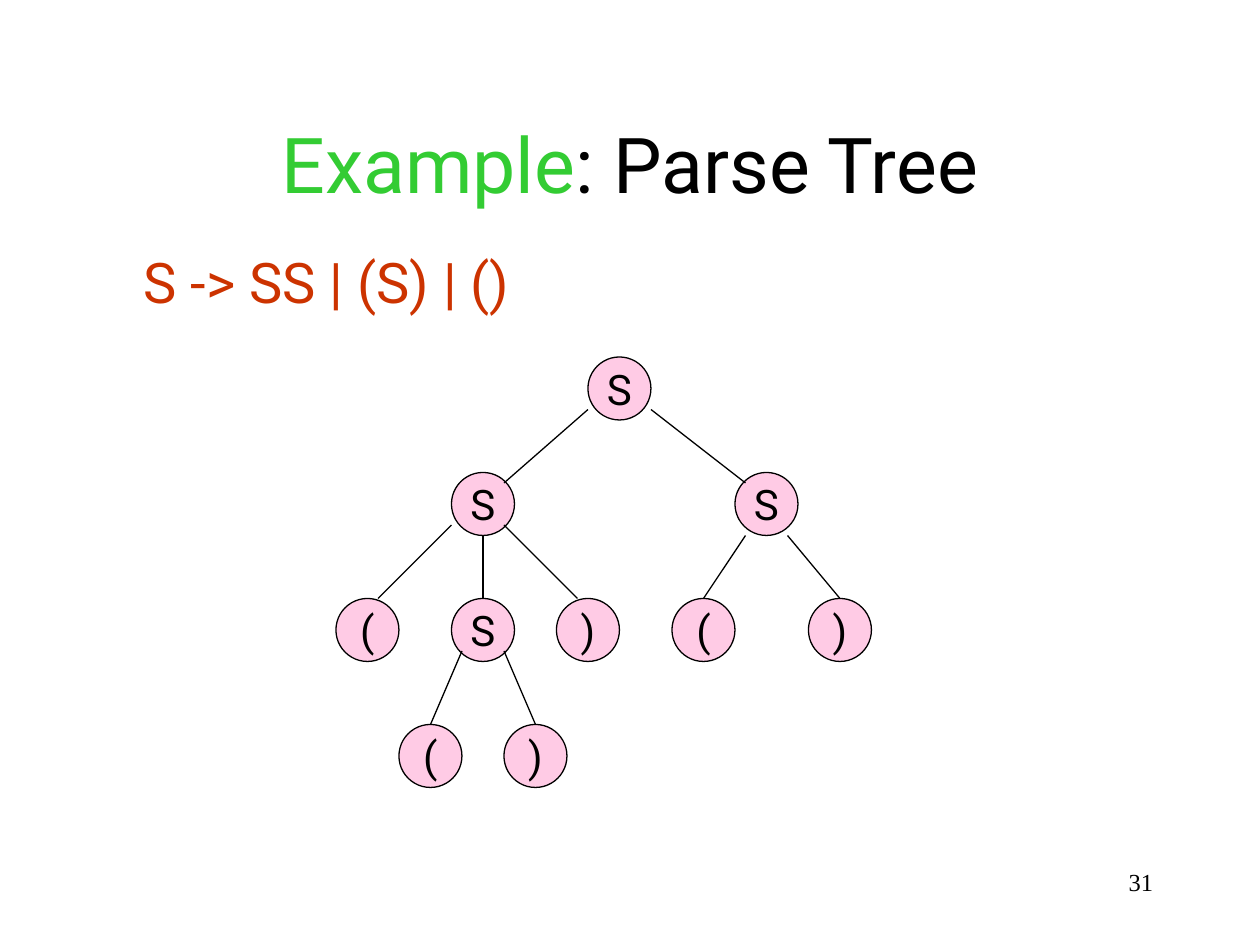
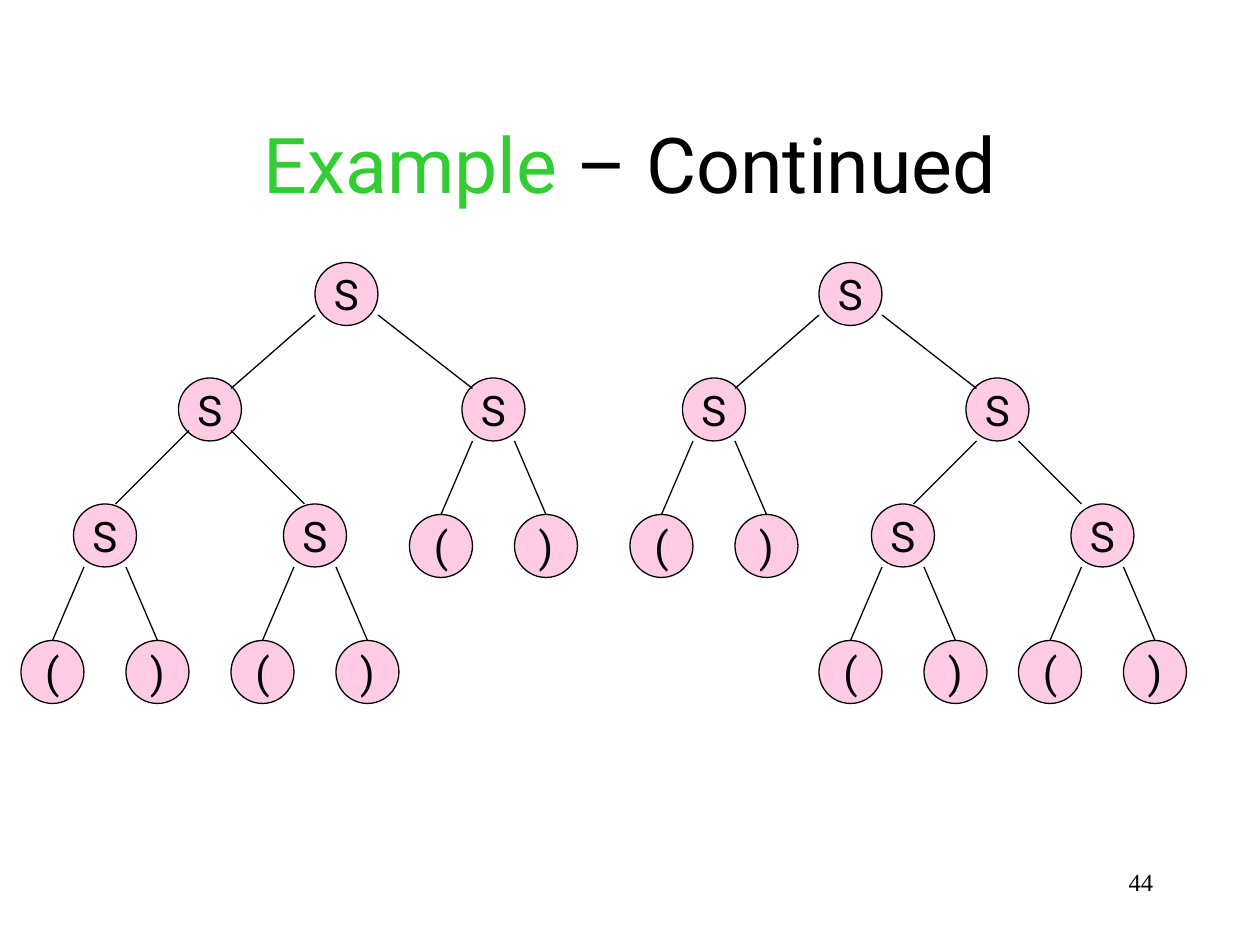
from lxml import etree
from pptx import Presentation, util as u
from pptx.dml.color import RGBColor
from pptx.enum import shapes, text
from pptx.oxml.ns import qn

# Content: a tree node is (label, (dx, dy) from its parent, link style, children)
def bracket_pair(drop=104):
    return [("(", (-40, drop), "low left", []), (")", (40, drop), "low right", [])]


def fork(left, right):
    return [("S", (-104, 88), "root left", left), ("S", (112, 88), "root right", right)]


NESTED_BRACKETS = [
    ("(", (-88, 96), "wide left", []),
    ("S", (0, 96), "down", [
        ("(", (-40, 96), "high left", []),
        (")", (40, 96), "high right", []),
    ]),
    (")", (80, 96), "wide right", []),
]
LONE_BRACKETS = [
    ("(", (-48, 96), "low left", []),
    (")", (56, 96), "low right", []),
]
LEFT_SPLIT = [
    ("S", (-80, 96), "split left", bracket_pair()),
    ("S", (80, 96), "wide right", bracket_pair()),
]
RIGHT_SPLIT = [
    ("S", (-72, 96), "late left", bracket_pair()),
    ("S", (80, 96), "late right", bracket_pair()),
]
SLIDES = [
    {"title": ": Parse Tree", "number": "31", "grammar": "S -> SS | (S) | ()",
     "trees": [((448, 272), fork(NESTED_BRACKETS, LONE_BRACKETS))]},
    {"title": " – Continued", "number": "44",
     "trees": [((240, 200), fork(LEFT_SPLIT, bracket_pair())),
               ((624, 200), fork(bracket_pair(), RIGHT_SPLIT))]},
]

# Link styles: start within the parent's box, end within the child's box
LINKS = {
    "root left": ((0, 40), (40, 8)), "root right": ((48, 40), (8, 8)),
    "wide left": ((0, 40), (32, 0)), "wide right": ((40, 40), (16, 0)),
    "split left": ((8, 40), (32, 0)), "down": ((24, 48), (24, 0)),
    "high left": ((8, 40), (24, 0)), "high right": ((40, 40), (24, 0)),
    "low left": ((8, 48), (24, 0)), "low right": ((40, 48), (24, 0)),
    "late left": ((8, 48), (32, 0)), "late right": ((40, 48), (8, 0)),
}

# Shared look
COLORS = {"ink": "000000", "example": "33CC33", "grammar": "CC3300",
          "node": "FF99CC", "page": "FFFFFF"}
PX = 9525
NODE_SIZE = 48
TITLE_BOX = (72, 64, 816, 120)
NUMBER_BOX = (688, 656, 200, 48)
GRAMMAR_BOX = (100, 184, 316, 61)
MARGINS = {"margin_left": u.Inches(0.1), "margin_right": u.Inches(0.1),
           "margin_top": u.Inches(0.05), "margin_bottom": u.Inches(0.05)}
MIDDLE = {"vertical_anchor": text.MSO_ANCHOR.MIDDLE, "auto_size": text.MSO_AUTO_SIZE.NONE}
CENTER = text.PP_ALIGN.CENTER


def rgb(name):
    return RGBColor.from_string(COLORS[name])


def emu(*lengths):
    return [length * PX for length in lengths]


def write(shape, spans, size, align, font="Roboto", **frame_format):
    frame = shape.text_frame
    for key, value in {**MARGINS, **frame_format}.items():
        setattr(frame, key, value)
    para = frame.paragraphs[0]
    para.alignment = align
    for words, color in spans:
        span = para.add_run()
        span.text = words
        for key, value in {"name": font, "size": u.Pt(size)}.items():
            setattr(span.font, key, value)
        span.font.color.rgb = rgb(color)


def outline(shape):
    shape.line.color.rgb = rgb("ink")
    shape.line.width = u.Pt(0.75)


def add_node(page, label, left, top):
    node = page.shapes.add_shape(shapes.MSO_SHAPE.OVAL,
                                 *emu(left, top, NODE_SIZE, NODE_SIZE))
    node.shadow.inherit = False
    node.fill.solid()
    node.fill.fore_color.rgb = rgb("node")
    color = node.fill._xPr.find(".//" + qn("a:srgbClr"))
    etree.SubElement(color, qn("a:alpha"), val="50000")
    outline(node)
    write(node, [(label, "ink")], 24, CENTER, word_wrap=False, **MIDDLE)


def add_link(page, start, end):
    link = page.shapes.add_connector(shapes.MSO_CONNECTOR.STRAIGHT, *emu(*start, *end))
    outline(link)
    etree.SubElement(link._element.spPr, qn("a:effectLst"))


def add_tree(page, label, left, top, children):
    add_node(page, label, left, top)
    for child, (dx, dy), style, grandchildren in children:
        x, y = left + dx, top + dy
        add_tree(page, child, x, y, grandchildren)
        (start_x, start_y), (end_x, end_y) = LINKS[style]
        add_link(page, (left + start_x, top + start_y), (x + end_x, y + end_y))


def add_page(deck, content):
    page = deck.slides.add_slide(deck.slide_layouts[5])
    page.background.fill.solid()
    page.background.fill.fore_color.rgb = rgb("page")

    # Title and page number
    title = page.shapes.title
    for side, value in zip(("left", "top", "width", "height"), emu(*TITLE_BOX)):
        setattr(title, side, value)
    write(title, [("Example", "example"), (content["title"], "ink")], 44, CENTER, **MIDDLE)
    number = page.shapes.add_textbox(*emu(*NUMBER_BOX))
    write(number, [(content["number"], "ink")], 14, text.PP_ALIGN.RIGHT,
          font="Times New Roman", word_wrap=True)

    # Grammar rule and trees
    if "grammar" in content:
        grammar = page.shapes.add_textbox(*emu(*GRAMMAR_BOX))
        write(grammar, [(content["grammar"], "grammar")], 32, text.PP_ALIGN.LEFT,
              word_wrap=False)
    for (left, top), children in content["trees"]:
        add_tree(page, "S", left, top, children)


def main():
    deck = Presentation()
    deck.slide_width, deck.slide_height = emu(960, 720)
    for content in SLIDES:
        add_page(deck, content)
    deck.save("out.pptx")


if __name__ == "__main__":
    main()
